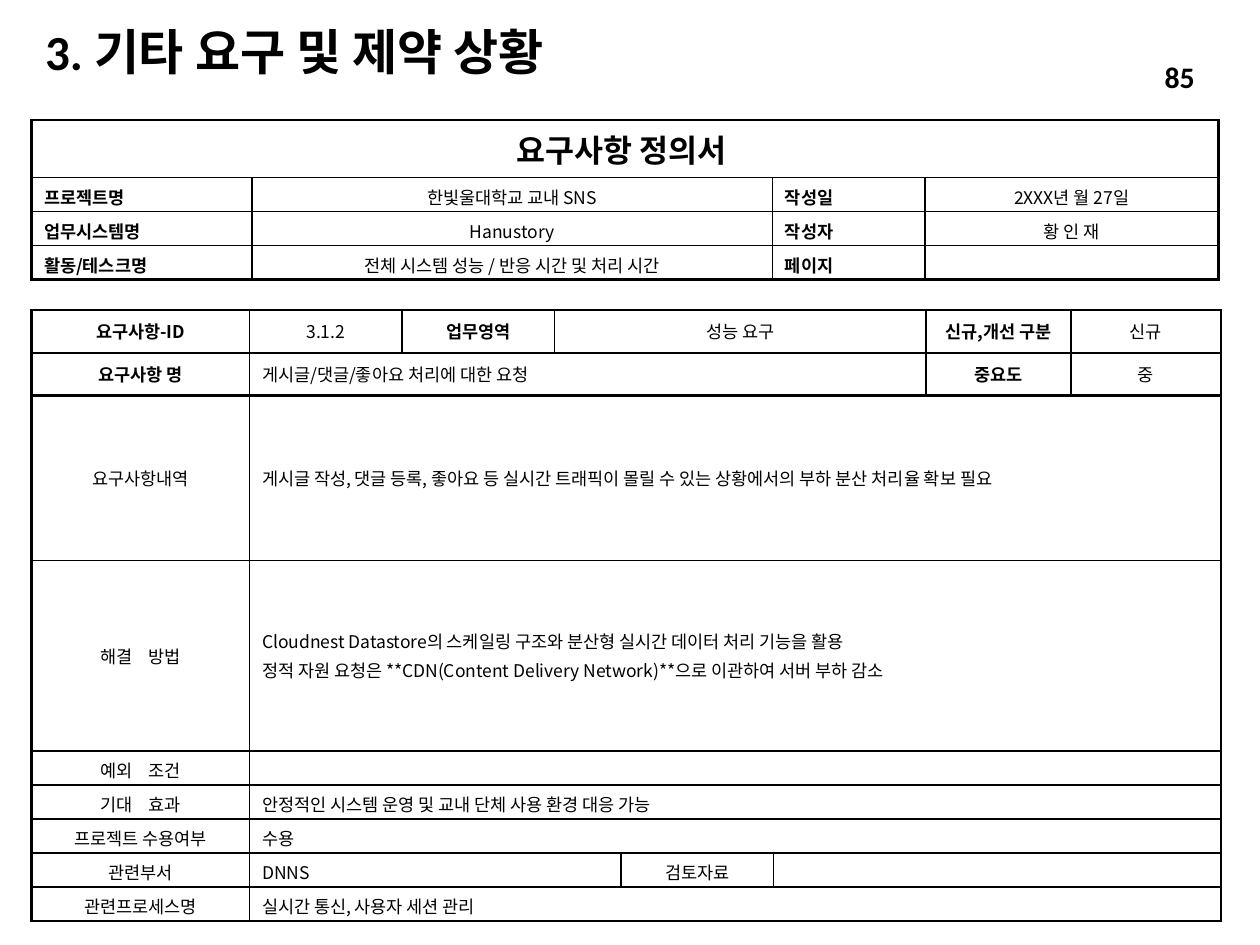
from dataclasses import dataclass

from lxml import etree
from pptx import Presentation
from pptx.dml.color import RGBColor
from pptx.enum.text import MSO_ANCHOR, PP_ALIGN
from pptx.oxml.ns import qn
from pptx.util import Inches, Pt

BLACK = RGBColor(0x00, 0x00, 0x00)
LATIN = "Calibri"
KOREAN = "Noto Sans CJK KR"
LEFT, CENTER = PP_ALIGN.LEFT, PP_ALIGN.CENTER
RIGHT, JUSTIFY = PP_ALIGN.RIGHT, PP_ALIGN.JUSTIFY
TOP, MIDDLE = MSO_ANCHOR.TOP, MSO_ANCHOR.MIDDLE
THIN, THICK = Pt(1), Pt(1.5)


@dataclass
class Cell:
    text: str = ""
    span: int = 1
    align: PP_ALIGN = CENTER
    bold: bool = False
    size: float = 10
    word_gap: int = 0  # extra width of each space, in points


@dataclass
class Form:
    left: float
    top: float
    cols: list[float]
    heights: list[float]
    rows: list[list[Cell]]
    thick_below: set[int]
    anchors: list[MSO_ANCHOR]


def add_run(p, text, *, size, bold=False, font=KOREAN, gap=0):
    r = p.add_run()
    r.text = text
    r.font.size, r.font.bold, r.font.name = Pt(size), bold, font
    r.font.color.rgb = BLACK
    rpr = r.font._element
    etree.SubElement(rpr, qn("a:ea"), typeface=KOREAN)
    if gap:
        rpr.set("spc", str(gap * 100))


def write(tf, text, *, size, align=LEFT, bold=False, font=KOREAN,
          word_gap=0, line_spacing=None):
    """Write text, one paragraph per line."""
    for i, line in enumerate(text.split("\n")):
        p = tf.add_paragraph() if i else tf.paragraphs[0]
        p.alignment = align
        if i:
            p.space_before = Pt(size * 0.2)
        if line_spacing:
            p.line_spacing = line_spacing
        if not line:
            etree.SubElement(p._p, qn("a:endParaRPr"), sz=str(size * 100))
        elif word_gap:
            first, last = line.split(" ")
            add_run(p, first, size=size, bold=bold, font=font)
            add_run(p, " ", size=size, bold=bold, font=font, gap=word_gap)
            add_run(p, last, size=size, bold=bold, font=font)
        else:
            add_run(p, line, size=size, bold=bold, font=font)


def add_text(slide, box: tuple, text: str, **style):
    sp = slide.shapes.add_textbox(*map(Inches, box))
    tf = sp.text_frame
    tf.word_wrap = True
    tf.vertical_anchor = MIDDLE
    write(tf, text, **style)


def set_borders(cell, widths: dict):
    tcpr = cell._tc.get_or_add_tcPr()
    for i, (side, width) in enumerate(widths.items()):
        ln = etree.Element(qn(f"a:ln{side}"), w=str(width))
        fill = etree.SubElement(ln, qn("a:solidFill"))
        etree.SubElement(fill, qn("a:srgbClr"), val=str(BLACK))
        tcpr.insert(i, ln)


def add_form(slide, form: Form):
    n_rows, n_cols = len(form.rows), len(form.cols)
    table = slide.shapes.add_table(
        n_rows, n_cols, Inches(form.left), Inches(form.top),
        Inches(sum(form.cols)), Inches(sum(form.heights))).table
    table.first_row = table.horz_banding = False
    for column, width in zip(table.columns, form.cols):
        column.width = Inches(width)
    thick = form.thick_below | {-1, n_rows - 1}
    for y, (height, row) in enumerate(zip(form.heights, form.rows)):
        table.rows[y].height = Inches(height)
        x = 0
        for item in row:
            end = x + item.span - 1
            cell = table.cell(y, x)
            if item.span > 1:
                cell.merge(table.cell(y, end))
            # Thick frame, thin inner lines
            borders = {
                "L": THICK if x == 0 else THIN,
                "R": THICK if end == n_cols - 1 else THIN,
                "T": THICK if y - 1 in thick else THIN,
                "B": THICK if y in thick else THIN,
            }
            for col in range(x, end + 1):
                part = table.cell(y, col)
                part.fill.background()
                set_borders(part, borders)
            cell.vertical_anchor = form.anchors[y]
            write(cell.text_frame, item.text, size=item.size, bold=item.bold,
                  align=item.align, word_gap=item.word_gap)
            x = end + 1


def head(text, align=CENTER):
    return Cell(text, align=align, bold=True)


def wide(label, text="", word_gap=0):
    """Row with a label and one value across the other columns."""
    return [Cell(label, word_gap=word_gap), Cell(text, 7, LEFT)]


def info(label, value, label2, value2=""):
    return [head(label, JUSTIFY), Cell(value), head(label2, JUSTIFY), Cell(value2)]


REQUIREMENT = Form(
    0.25, 2.46,
    [1.73, 1.21, 1.21, 0.53, 1.21, 1.21, 1.15, 1.19],
    [0.34, 0.34, 1.31, 1.51] + [0.27] * 5,
    [
        [head("요구사항-ID"), Cell("3.1.2"), head("업무영역"),
         Cell("성능 요구", 3), head("신규,개선 구분"), Cell("신규")],
        [head("요구사항 명"), Cell("게시글/댓글/좋아요 처리에 대한 요청", 5, LEFT),
         head("중요도"), Cell("중")],
        wide("요구사항내역", "게시글 작성, 댓글 등록, 좋아요 등 실시간 트래픽이 "
             "몰릴 수 있는 상황에서의 부하 분산 처리율 확보 필요"),
        wide("해결 방법", "Cloudnest Datastore의 스케일링 구조와 분산형 실시간 "
             "데이터 처리 기능을 활용\n정적 자원 요청은 **CDN(Content Delivery "
             "Network)**으로 이관하여 서버 부하 감소", word_gap=7),
        wide("예외 조건", word_gap=7),
        wide("기대 효과", "안정적인 시스템 운영 및 교내 단체 사용 환경 대응 가능",
             word_gap=7),
        wide("프로젝트 수용여부", "수용"),
        [Cell("관련부서"), Cell("DNNS", 3, LEFT), Cell("검토자료"), Cell(span=3)],
        wide("관련프로세스명", "실시간 통신, 사용자 세션 관리"),
    ],
    {0, 1}, [MIDDLE] * 9)

DOCUMENT = Form(
    0.25, 0.95,
    [1.75, 4.13, 1.21, 2.33],
    [0.46] + [0.27] * 3,
    [
        [Cell("요구사항 정의서 ", 4, bold=True, size=18)],
        info("프로젝트명", "한빛울대학교 교내 SNS", "작성일", "2XXX년 월 27일"),
        info("업무시스템명 ", "Hanustory", "작성자", "황 인 재"),
        info("활동/테스크명", "전체 시스템 성능 / 반응 시간 및 처리 시간", "페이지"),
    ],
    set(), [MIDDLE] + [TOP] * 3)


def main():
    prs = Presentation()
    prs.slide_width, prs.slide_height = Inches(10), Inches(7.5)
    slide = prs.slides.add_slide(prs.slide_layouts[6])

    # Title
    add_text(slide, (0.26, 0.21, 5.36, 0.44), "3. 기타 요구 및 제약 상황",
             size=28, bold=True, font=LATIN, line_spacing=0.9)

    # Requirement details, then document information
    add_form(slide, REQUIREMENT)
    add_form(slide, DOCUMENT)

    # Page number
    add_text(slide, (7.96, 0.41, 1.62, 0.4), "85",
             size=17, bold=True, font=LATIN, align=RIGHT)

    prs.save("out.pptx")


if __name__ == "__main__":
    main()
